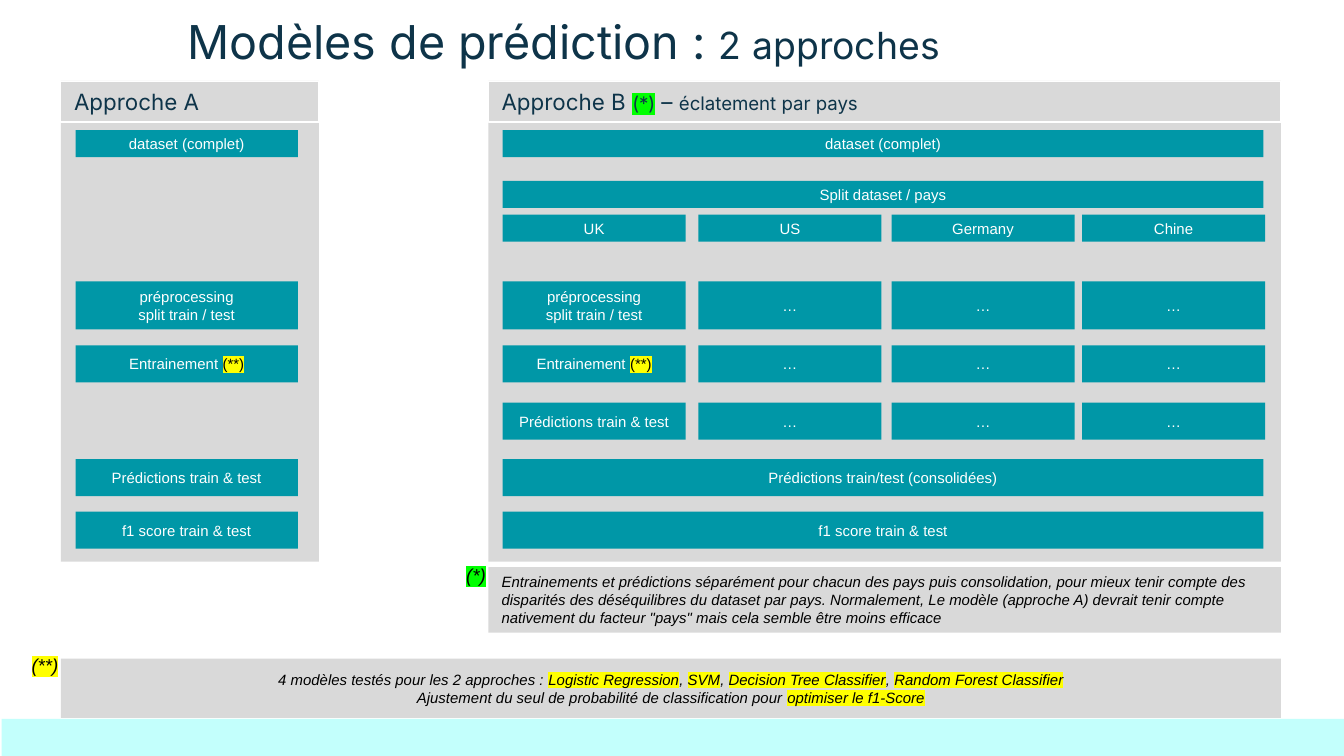
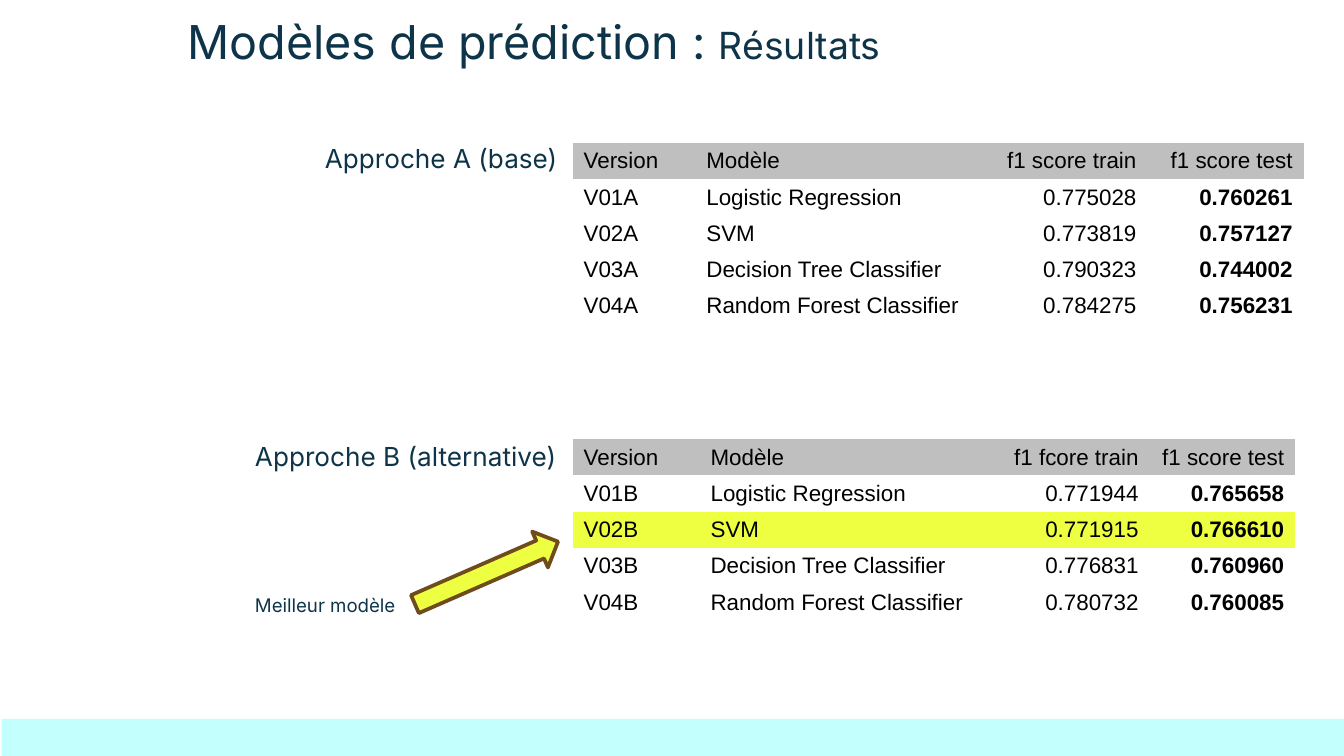
from pptx import Presentation
from pptx.dml.color import RGBColor
from pptx.enum.shapes import MSO_SHAPE as Geo
from pptx.enum.text import MSO_ANCHOR as Anchor, MSO_AUTO_SIZE as Auto, PP_ALIGN as Align
from pptx.oxml.ns import qn
from pptx.util import Cm, Pt
from lxml.etree import SubElement

NAVY, TEAL, GREY, AQUA = "0E3449", "0097A7", "D9D9D9", "C3FFFC"
WHITE, BLACK, SILVER = "FFFFFF", "000000", "BFBFBF"
YELLOW, GREEN, LIME, BROWN = "FFFF00", "00FF00", "EEFF41", "704B1C"
PLAIN = "{2D5ABB26-0587-4C30-8999-92F81FD0307C}"

MARK = ("(**)", {"hl": YELLOW, "color": BLACK})
PREP = [["préprocessing"], ["split train / test"]]
TRAIN = [["Entrainement ", MARK]]
PRED = [["Prédictions train & test"]]
FULL = [["dataset (complet)"]]
SCORE = [["f1 score train & test"]]
DOTS = [["…"]]

ROWS = {"data": (2.46, 0.51), "split": (3.42, 0.51), "land": (4.06, 0.51),
        "prep": (5.32, 0.91), "train": (6.53, 0.7), "pred": (7.61, 0.7),
        "join": (8.68, 0.7), "score": (9.67, 0.7)}
LEFT = {"data": FULL, "prep": PREP, "train": TRAIN, "join": PRED, "score": SCORE}
WIDE = {"data": FULL, "split": [["Split dataset / pays"]],
        "join": [["Prédictions train/test (consolidées)"]], "score": SCORE}
LANDS = ["UK", "US", "Germany", "Chine"]
STEPS = {"prep": PREP, "train": TRAIN, "pred": PRED}
COLS = [9.5, 13.2, 16.85, 20.45]

PANELS = [
    (1.15, 4.88, [["Approche A"]]),
    (9.23, 14.98, [["Approche B ", ("(*)", {"hl": GREEN, "size": 10}), " – ",
                    ("éclatement par pays", {"size": 10})]]),
]
WHY = [["Entrainements et prédictions séparément pour chacun des pays puis consolidation, "
        "pour mieux tenir compte des disparités des déséquilibres du dataset par pays. "
        "Normalement, Le modèle (approche A) devrait tenir compte nativement du facteur "
        "\"pays\" mais cela semble être moins efficace"]]
MODELS = ["Logistic Regression", "SVM", "Decision Tree Classifier", "Random Forest Classifier"]
LIT = {"hl": YELLOW}
TESTS = ["4 modèles testés pour les 2 approches : "]
for name in MODELS:
    TESTS += [(name, LIT), ", "]
TESTED = [TESTS[:-1],
          ["Ajustement du seul de probabilité de classification pour ",
           ("optimiser le f1-Score", LIT)]]

TABLES = [
    {"tag": "A", "top": 2.7, "cols": [2.32, 5.22, 3.33, 2.95], "best": None,
     "head": ["Version", "Modèle", "f1 score train", "f1 score test"],
     "train": ["0.775028", "0.773819", "0.790323", "0.784275"],
     "test": ["0.760261", "0.757127", "0.744002", "0.756231"]},
    {"tag": "B", "top": 8.3, "cols": [2.4, 5.33, 3.18, 2.75], "best": 2,
     "head": ["Version", "Modèle", "f1 fcore train", "f1 score test"],
     "train": ["0.771944", "0.771915", "0.776831", "0.780732"],
     "test": ["0.765658", "0.766610", "0.760960", "0.760085"]},
]
LABELS = [("Approche A (base)", 14, (5.89, 2.57, 5.36, 0.86)),
          ("Approche B (alternative)", 14, (4.57, 8.2, 6.43, 0.86)),
          ("Meilleur modèle", 10, (4.57, 11.1, 3.25, 0.69))]


def rgb(code):
    return RGBColor.from_string(code)


def style(run, size, color, font="Arial", bold=False, italic=False, hl=None):
    face = run.font
    face.size, face.name = Pt(size), font
    face.bold, face.italic = bold, italic
    face.color.rgb = rgb(color)
    if hl:
        props = run._r.get_or_add_rPr()
        mark = SubElement(props, qn("a:highlight"))
        SubElement(mark, qn("a:srgbClr")).set("val", hl)
        props.find(qn("a:solidFill")).addnext(mark)


def write(frame, paras, align=Align.LEFT, **base):
    for i, runs in enumerate(paras):
        para = frame.add_paragraph() if i else frame.paragraphs[0]
        para.alignment = align
        for item in runs:
            text, extra = item if isinstance(item, tuple) else (item, {})
            run = para.add_run()
            run.text = text
            style(run, **{**base, **extra})


def block(slide, spot, fill=None, line=None, width=0.75, geo=Geo.RECTANGLE):
    shape = slide.shapes.add_shape(geo, *map(Cm, spot))
    shape.shadow.inherit = False
    if fill:
        shape.fill.solid()
        shape.fill.fore_color.rgb = rgb(fill)
    else:
        shape.fill.background()
    if line:
        shape.line.color.rgb = rgb(line)
        shape.line.width = Pt(width)
    else:
        shape.line.fill.background()
    shape.text_frame.vertical_anchor = Anchor.MIDDLE
    return shape


def step(slide, x, row, w, paras):
    y, h = ROWS[row]
    box = block(slide, (x, y, w, h), TEAL)
    write(box.text_frame, paras, Align.CENTER, size=8, color=WHITE)


def label(slide, spot, paras, align=Align.LEFT, **base):
    frame = slide.shapes.add_textbox(*map(Cm, spot)).text_frame
    frame.word_wrap = True
    write(frame, paras, align, **base)


def start(deck, topic):
    slide = deck.slides.add_slide(deck.slide_layouts[5])
    title = slide.shapes.title
    title.left, title.top, title.width, title.height = map(Cm, (3.3, 0, 20.45, 1.47))
    frame = title.text_frame
    frame.auto_size, frame.vertical_anchor = Auto.NONE, Anchor.TOP
    frame.margin_left = frame.margin_right = Cm(0.25)
    frame.margin_top = frame.margin_bottom = Cm(0.25)
    write(frame, [["Modèles de prédiction : ", (topic, {"size": 20})]],
          size=25, color=NAVY, font="Inter")
    block(slide, (0.03, 13.59, 25.37, 0.7), AQUA)
    return slide


def grid(slide, tag, top, cols, best, head, train, test):
    codes = [f"V0{i}{tag}" for i in range(1, 5)]
    rows = [head, *zip(codes, MODELS, train, test)]
    table = slide.shapes.add_table(len(rows), len(cols), Cm(10.82), Cm(top),
                                   Cm(sum(cols)), Cm(3.43)).table
    table._tbl.tblPr.find(qn("a:tableStyleId")).text = PLAIN
    table.first_row = table.horz_banding = False
    for col, w in zip(table.columns, cols):
        col.width = Cm(w)
    for r, row in enumerate(rows):
        table.rows[r].height = Cm(3.43 / len(rows))
        fill = SILVER if r == 0 else LIME if r == best else WHITE
        for c, text in enumerate(row):
            cell = table.cell(r, c)
            cell.fill.solid()
            cell.fill.fore_color.rgb = rgb(fill)
            cell.vertical_anchor = Anchor.MIDDLE
            cell.margin_left = cell.margin_right = Cm(0.21)
            cell.margin_top = cell.margin_bottom = Cm(0.1)
            write(cell.text_frame, [[text]], Align.RIGHT if c > 1 else Align.LEFT,
                  size=12, color=BLACK, bold=r > 0 and c == 3)


def methods(deck):
    slide = start(deck, "2 approches")
    for x, w, head in PANELS:
        block(slide, (x, 1.53, w, 9.09), GREY)
        bar = block(slide, (x, 1.54, w, 0.77), line=WHITE)
        write(bar.text_frame, head, size=12, color=NAVY, font="Inter")
    for row, paras in LEFT.items():
        step(slide, 1.43, row, 4.2, paras)
    for row, paras in WIDE.items():
        step(slide, COLS[0], row, 14.38, paras)
    for i, (x, land) in enumerate(zip(COLS, LANDS)):
        step(slide, x, "land", 3.46, [[land]])
        for row, paras in STEPS.items():
            step(slide, x, row, 3.46, DOTS if i else paras)
    note = {"size": 8, "color": BLACK, "italic": True}
    why = block(slide, (9.23, 10.72, 14.98, 1.24), GREY)
    write(why.text_frame, WHY, **note)
    tested = block(slide, (1.15, 12.45, 23.06, 1.12), GREY)
    write(tested.text_frame, TESTED, Align.CENTER, **note)
    star = {**note, "size": 10}
    label(slide, (8.56, 10.54, 1.09, 0.69), [["(*)"]], hl=GREEN, **star)
    label(slide, (0.23, 12.24, 1.24, 0.69), [["(**)"]], Align.CENTER, hl=YELLOW, **star)


def results(deck):
    slide = start(deck, "Résultats")
    for data in TABLES:
        grid(slide, **data)
    for text, size, spot in LABELS:
        label(slide, spot, [[text]], size=size, color=NAVY, font="Inter")
    arrow = block(slide, (7.72, 10.46, 2.95, 0.74), LIME, BROWN, 2, Geo.RIGHT_ARROW)
    arrow.rotation = 336.4


def main():
    deck = Presentation()
    deck.slide_width, deck.slide_height = Cm(25.4), Cm(14.29)
    methods(deck)
    results(deck)
    deck.save("out.pptx")


if __name__ == "__main__":
    main()
